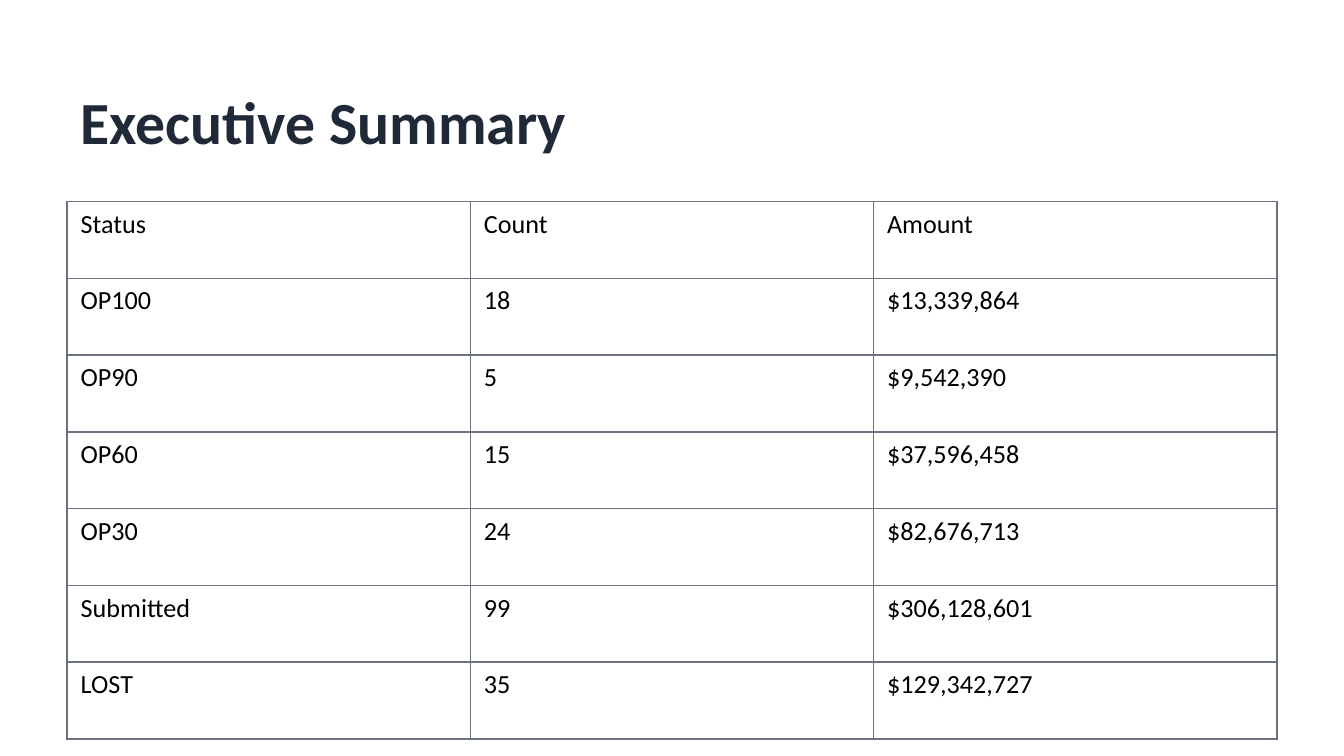
"""Build the Executive Summary slide with its status table."""
from dataclasses import dataclass

from lxml.etree import SubElement
from pptx import Presentation
from pptx.dml.color import RGBColor
from pptx.enum.text import MSO_ANCHOR as Anchor, MSO_AUTO_SIZE as AutoSize, PP_ALIGN as Align
from pptx.oxml.ns import qn
from pptx.util import Pt


@dataclass(frozen=True)
class Theme:
    font: str = "Calibri"
    title_color: str = "1F2937"
    text_color: str = "000000"
    border_color: str = "6B7280"
    background: str = "FFFFFF"
    title_size: int = 32
    text_size: int = 14
    border_width: int = 1


theme = Theme()


def write_text(frame, text, *, size, color, bold=False):
    paragraph = frame.paragraphs[0]
    paragraph.alignment = Align.LEFT
    run = paragraph.add_run()
    run.text = text
    run.font.name = theme.font
    run.font.size = Pt(size)
    run.font.bold = bold
    run.font.color.rgb = RGBColor.from_string(color)


def add_borders(cell):
    properties = cell._tc.get_or_add_tcPr()
    for side in ("a:lnL", "a:lnR", "a:lnT", "a:lnB"):
        line = SubElement(properties, qn(side), w=str(Pt(theme.border_width)))
        fill = SubElement(line, qn("a:solidFill"))
        SubElement(fill, qn("a:srgbClr"), val=theme.border_color)


presentation = Presentation()
presentation.slide_width, presentation.slide_height = Pt(720), Pt(405)
slide = presentation.slides.add_slide(presentation.slide_layouts[5])
slide.background.fill.solid()
slide.background.fill.fore_color.rgb = RGBColor.from_string(theme.background)

left, width = Pt(36), Pt(648)

title = slide.shapes.title
title.left, title.top, title.width, title.height = left, Pt(36), width, Pt(57.6)
title.text_frame.auto_size = AutoSize.NONE
title.text_frame.word_wrap = True
title.text_frame.vertical_anchor = Anchor.MIDDLE
write_text(title.text_frame, "Executive Summary",
           size=theme.title_size, color=theme.title_color, bold=True)

rows = [
    ("Status", "Count", "Amount"),
    ("OP100", "18", "$13,339,864"),
    ("OP90", "5", "$9,542,390"),
    ("OP60", "15", "$37,596,458"),
    ("OP30", "24", "$82,676,713"),
    ("Submitted", "99", "$306,128,601"),
    ("LOST", "35", "$129,342,727"),
]

table = slide.shapes.add_table(len(rows), len(rows[0]), left, Pt(108), width, Pt(288)).table
table.first_row = False
table.horz_banding = False

for row_index, values in enumerate(rows):
    for column_index, value in enumerate(values):
        cell = table.cell(row_index, column_index)
        add_borders(cell)
        cell.fill.background()
        write_text(cell.text_frame, value, size=theme.text_size, color=theme.text_color)

presentation.save("out.pptx")
